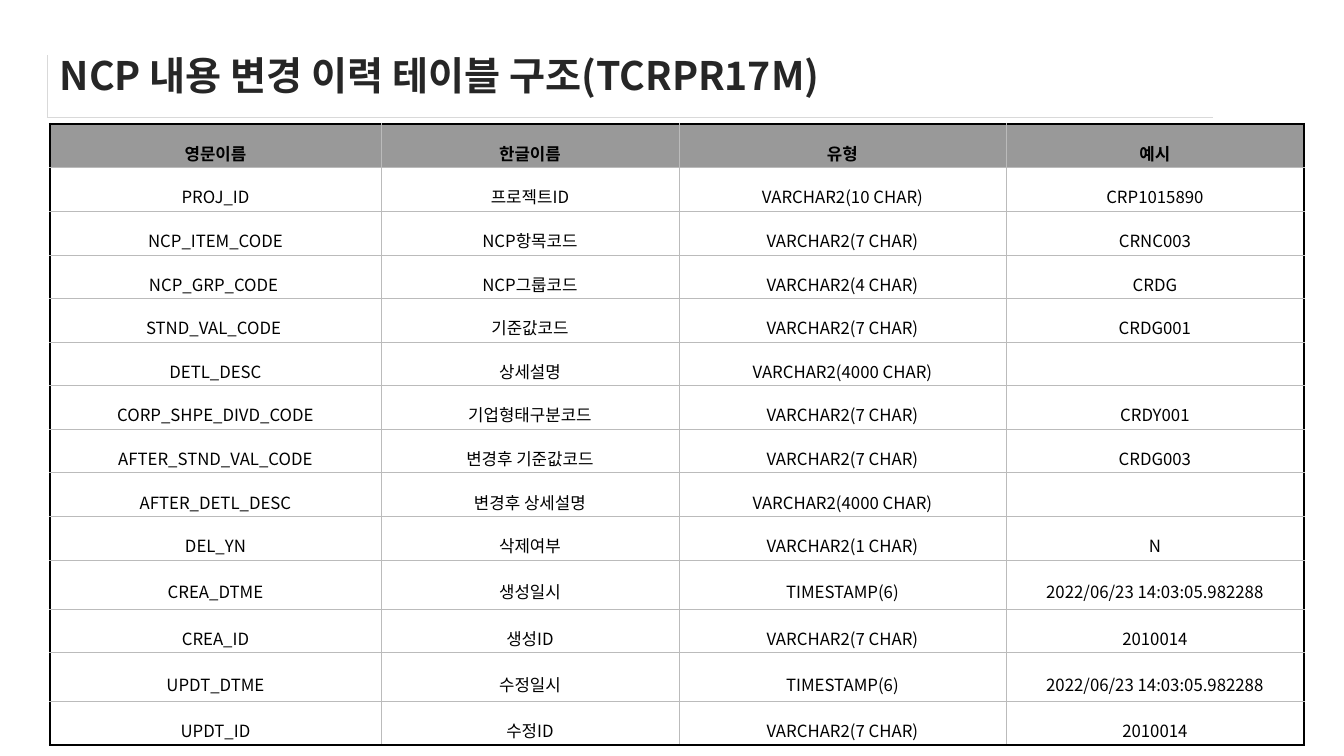
from dataclasses import dataclass

from lxml.etree import SubElement
from pptx import Presentation
from pptx.dml.color import RGBColor
from pptx.enum.text import MSO_ANCHOR, PP_ALIGN
from pptx.oxml.ns import qn
from pptx.slide import Slide
from pptx.table import Table, _Cell
from pptx.text.text import _Paragraph
from pptx.util import Emu, Pt

SLIDE_WIDTH, SLIDE_HEIGHT = 1344, 756
EMU_PER_PX = 12192000 / SLIDE_WIDTH
FONT = "Noto Sans CJK KR"
COLORS = {
    "title": "262626",
    "text": "000000",
    "outline": "000000",
    "grid": "BBBBBB",
    "title_rule": "D9D9D9",
    "header": "999999",
    "body": "FFFFFF",
}


@dataclass(frozen=True)
class Box:
    left: int
    top: int
    width: int
    height: int


@dataclass(frozen=True)
class Border:
    color: str
    points: float


@dataclass(frozen=True)
class Field:
    english: str
    korean: str
    data_type: str
    example: str = ""

    def texts(self) -> tuple[str, ...]:
        return self.english, self.korean, self.data_type, self.example


TITLE = "NCP 내용 변경 이력 테이블 구조(TCRPR17M)"
TITLE_BOX = Box(50, 41, 1259, 68)
TITLE_RULE_BOX = Box(47, 55, 1166, 62)
TABLE_BOX = Box(50, 124, 1254, 621)
COLUMN_WIDTHS = [331, 298, 327, 298]
TIMESTAMP_TYPE = "TIMESTAMP(6)"
TIMESTAMP_ROW_HEIGHT = 49

OUTLINE = Border("outline", 1.7)
GRID = Border("grid", 0.28)
TITLE_RULE = Border("title_rule", 0.25)

FIELDS = [
    Field("영문이름", "한글이름", "유형", "예시"),
    Field("PROJ_ID", "프로젝트ID", "VARCHAR2(10 CHAR)", "CRP1015890"),
    Field("NCP_ITEM_CODE", "NCP항목코드", "VARCHAR2(7 CHAR)", "CRNC003"),
    Field("NCP_GRP_CODE ", "NCP그룹코드", "VARCHAR2(4 CHAR)", "CRDG"),
    Field("STND_VAL_CODE ", "기준값코드", "VARCHAR2(7 CHAR)", "CRDG001"),
    Field("DETL_DESC", "상세설명", "VARCHAR2(4000 CHAR)"),
    Field("CORP_SHPE_DIVD_CODE", "기업형태구분코드", "VARCHAR2(7 CHAR)", "CRDY001"),
    Field("AFTER_STND_VAL_CODE", "변경후 기준값코드", "VARCHAR2(7 CHAR)", "CRDG003"),
    Field("AFTER_DETL_DESC", "변경후 상세설명", "VARCHAR2(4000 CHAR)"),
    Field("DEL_YN", "삭제여부", "VARCHAR2(1 CHAR)", "N"),
    Field("CREA_DTME", "생성일시", TIMESTAMP_TYPE, "2022/06/23 14:03:05.982288"),
    Field("CREA_ID", "생성ID", "VARCHAR2(7 CHAR)", "2010014"),
    Field("UPDT_DTME", "수정일시", TIMESTAMP_TYPE, "2022/06/23 14:03:05.982288"),
    Field("UPDT_ID", "수정ID", "VARCHAR2(7 CHAR)", "2010014"),
]


def px(length: int) -> Emu:
    return Emu(round(length * EMU_PER_PX))


def place(box: Box) -> tuple[Emu, Emu, Emu, Emu]:
    return px(box.left), px(box.top), px(box.width), px(box.height)


def row_heights() -> list[Emu]:
    """Timestamp rows are fixed; the others share the remaining height equally."""
    is_timestamp = [field.data_type == TIMESTAMP_TYPE for field in FIELDS]
    timestamp_count = sum(is_timestamp)
    remaining = px(TABLE_BOX.height - timestamp_count * TIMESTAMP_ROW_HEIGHT)
    shared = Emu(remaining // (len(FIELDS) - timestamp_count))
    return [px(TIMESTAMP_ROW_HEIGHT) if timestamp else shared for timestamp in is_timestamp]


def format_runs(paragraph: _Paragraph, size: int, color: str, bold: bool) -> None:
    for run in paragraph.runs:
        run.font.size = Pt(size)
        run.font.bold = bold
        run.font.name = FONT
        run.font.color.rgb = RGBColor.from_string(COLORS[color])


def set_borders(
    cell: _Cell,
    left: Border | None = None,
    right: Border | None = None,
    top: Border | None = None,
    bottom: Border | None = None,
) -> None:
    """Draw the given sides and hide the rest; call before setting the fill."""
    properties = cell._tc.get_or_add_tcPr()
    sides = {"a:lnL": left, "a:lnR": right, "a:lnT": top, "a:lnB": bottom}
    for tag, border in sides.items():
        line = SubElement(properties, qn(tag))
        if border is None:
            SubElement(line, qn("a:noFill"))
            continue
        line.set("w", str(Pt(border.points)))
        fill = SubElement(line, qn("a:solidFill"))
        SubElement(fill, qn("a:srgbClr"), val=COLORS[border.color])


def add_plain_table(slide: Slide, rows: int, columns: int, box: Box) -> Table:
    table = slide.shapes.add_table(rows, columns, *place(box)).table
    table.first_row = False
    table.horz_banding = False
    return table


def add_title(slide: Slide) -> None:
    rule_cell = add_plain_table(slide, 1, 1, TITLE_RULE_BOX).cell(0, 0)
    set_borders(rule_cell, left=TITLE_RULE, bottom=TITLE_RULE)
    rule_cell.fill.background()

    text_frame = slide.shapes.add_textbox(*place(TITLE_BOX)).text_frame
    text_frame.word_wrap = True
    text_frame.vertical_anchor = MSO_ANCHOR.MIDDLE
    text_frame.text = TITLE
    format_runs(text_frame.paragraphs[0], 28, "title", bold=True)


def fill_cell(cell: _Cell, text: str, is_header: bool) -> None:
    cell.fill.solid()
    cell.fill.fore_color.rgb = RGBColor.from_string(COLORS["header" if is_header else "body"])
    cell.vertical_anchor = MSO_ANCHOR.MIDDLE
    cell.margin_left = cell.margin_right = px(8)
    cell.margin_top = cell.margin_bottom = px(2)
    if text:
        cell.text_frame.text = text
        paragraph = cell.text_frame.paragraphs[0]
        paragraph.alignment = PP_ALIGN.CENTER
        paragraph.line_spacing = 1.6
        format_runs(paragraph, 12, "text", bold=is_header)


def add_field_table(slide: Slide) -> None:
    table = add_plain_table(slide, len(FIELDS), len(COLUMN_WIDTHS), TABLE_BOX)
    for column, width in zip(table.columns, COLUMN_WIDTHS):
        column.width = px(width)
    for row, height in zip(table.rows, row_heights()):
        row.height = height

    last_row, last_column = len(FIELDS) - 1, len(COLUMN_WIDTHS) - 1
    for row_index, field in enumerate(FIELDS):
        for column_index, text in enumerate(field.texts()):
            cell = table.cell(row_index, column_index)
            set_borders(
                cell,
                left=OUTLINE if column_index == 0 else GRID,
                right=OUTLINE if column_index == last_column else GRID,
                top=OUTLINE if row_index == 0 else GRID,
                bottom=OUTLINE if row_index == last_row else GRID,
            )
            fill_cell(cell, text, is_header=row_index == 0)


def main() -> None:
    presentation = Presentation()
    presentation.slide_width = px(SLIDE_WIDTH)
    presentation.slide_height = px(SLIDE_HEIGHT)
    slide = presentation.slides.add_slide(presentation.slide_layouts[6])
    add_title(slide)
    add_field_table(slide)
    presentation.save("out.pptx")


if __name__ == "__main__":
    main()
